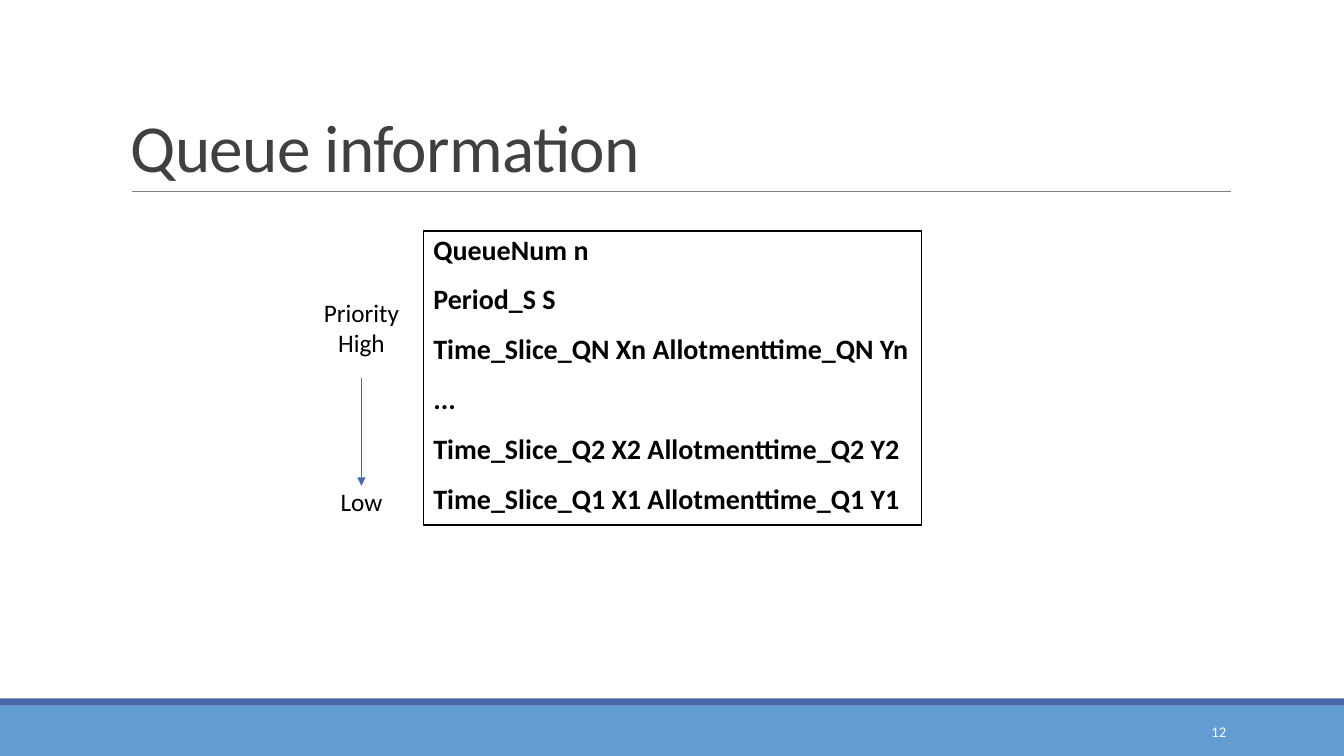
import pptx
import pptx.util
from pptx.dml.color import RGBColor
from pptx.enum.shapes import MSO_CONNECTOR, MSO_SHAPE
from pptx.enum.text import MSO_ANCHOR, PP_ALIGN
from pptx.oxml.ns import qn
from lxml import etree

Inches, Pt = pptx.util.Inches, pptx.util.Pt

WIDTH, HEIGHT = 13.33, 7.5
FONT = "Calibri"
BLACK = RGBColor(0x00, 0x00, 0x00)
WHITE = RGBColor(0xFF, 0xFF, 0xFF)
DARK_GREY = RGBColor(0x40, 0x40, 0x40)
RULE_GREY = RGBColor(0x80, 0x80, 0x80)
BAND_BLUE = RGBColor(0x62, 0x9D, 0xD1)
DEEP_BLUE = RGBColor(0x4A, 0x66, 0xAC)

QUEUE_LINES = [
    "QueueNum n",
    "Period_S S",
    "Time_Slice_QN Xn Allotmenttime_QN Yn",
    "...",
    "Time_Slice_Q2 X2 Allotmenttime_Q2 Y2",
    "Time_Slice_Q1 X1 Allotmenttime_Q1 Y1",
]


def add_rect(s, box, fill):
    sp = s.shapes.add_shape(MSO_SHAPE.RECTANGLE, *map(Inches, box))
    sp.shadow.inherit = False
    sp.fill.solid()
    sp.fill.fore_color.rgb = fill
    sp.line.fill.background()
    return sp


def add_line(s, start, end, color, width):
    ends = map(Inches, (*start, *end))
    line = s.shapes.add_connector(MSO_CONNECTOR.STRAIGHT, *ends)
    line.line.color.rgb = color
    line.line.width = Pt(width)
    etree.SubElement(line._element.spPr, qn("a:effectLst"))
    return line


def set_text(sp, lines, size, color, align=PP_ALIGN.LEFT,
             anchor=MSO_ANCHOR.TOP, wrap=True):
    tf = sp.text_frame
    tf.word_wrap = wrap
    tf.vertical_anchor = anchor
    tf.text = "\n".join(lines)
    for p in tf.paragraphs:
        p.alignment = align
        p.font.name = FONT
        p.font.size = Pt(size)
        p.font.color.rgb = color
    return tf


def add_text(s, box, lines, size, color, **options):
    sp = s.shapes.add_textbox(*map(Inches, box))
    return set_text(sp, lines, size, color, **options)


def draw_footer(s, x, y, w, h, number):
    """Two-tone band with the slide number at its right."""
    edge = 0.07
    add_rect(s, (x, y + edge, w, h - edge), BAND_BLUE)
    add_rect(s, (x, y, w, edge), DEEP_BLUE)
    add_text(s, (x + w - 2.5, y + 0.13, 1.43, 0.4), [number], 10.5, WHITE,
             align=PP_ALIGN.RIGHT, anchor=MSO_ANCHOR.MIDDLE)


def draw_title(s, x, y, w, h, title):
    """Bottom-aligned title standing on a thin rule."""
    add_line(s, (x + 0.11, y + h), (x + w + 0.01, y + h), RULE_GREY, 0.5)
    tf = add_text(s, (x, y, w, h), [title], 48, DARK_GREY,
                  anchor=MSO_ANCHOR.BOTTOM)
    p = tf.paragraphs[0]
    p.line_spacing = 0.85
    p.runs[0]._r.get_or_add_rPr().set("spc", "-50")


def draw_queue_box(s, x, y, w, h, lines):
    """Outlined box listing the queue settings."""
    sp = add_rect(s, (x, y, w, h), WHITE)
    sp.line.color.rgb = BLACK
    sp.line.width = Pt(1.25)
    tf = set_text(sp, lines, 20, BLACK)
    tf.margin_right = 0
    for i, p in enumerate(tf.paragraphs):
        p.font.bold = True
        p.line_spacing = 0.9
        p.space_after = Pt(2)
        if i:
            p.space_before = Pt(12)


def draw_priority_scale(s, x, y, w, h):
    """Arrow from high priority at the top to low at the bottom."""
    high, low = 0.71, 0.4
    center = x + w / 2
    label = dict(align=PP_ALIGN.CENTER, wrap=False)
    add_text(s, (x, y, w, high), ["Priority", "High"], 18, BLACK, **label)
    arrow = add_line(s, (center, y + high + 0.14),
                     (center, y + h - low + 0.04), DEEP_BLUE, 1)
    etree.SubElement(arrow.line._get_or_add_ln(), qn("a:tailEnd"),
                     type="triangle")
    add_text(s, (x, y + h - low, w, low), ["Low"], 18, BLACK, **label)


def main():
    prs = pptx.Presentation()
    prs.slide_width, prs.slide_height = Inches(WIDTH), Inches(HEIGHT)
    s = prs.slides.add_slide(prs.slide_layouts[6])

    footer = 0.57
    draw_footer(s, 0, HEIGHT - footer, WIDTH, footer, "12")
    draw_title(s, 1.2, 0.31, 11, 1.59, "Queue information")
    draw_queue_box(s, 4.2, 2.29, 4.94, 2.92, QUEUE_LINES)
    draw_priority_scale(s, 3.11, 2.9, 0.95, 2.28)

    prs.save("out.pptx")


if __name__ == "__main__":
    main()
